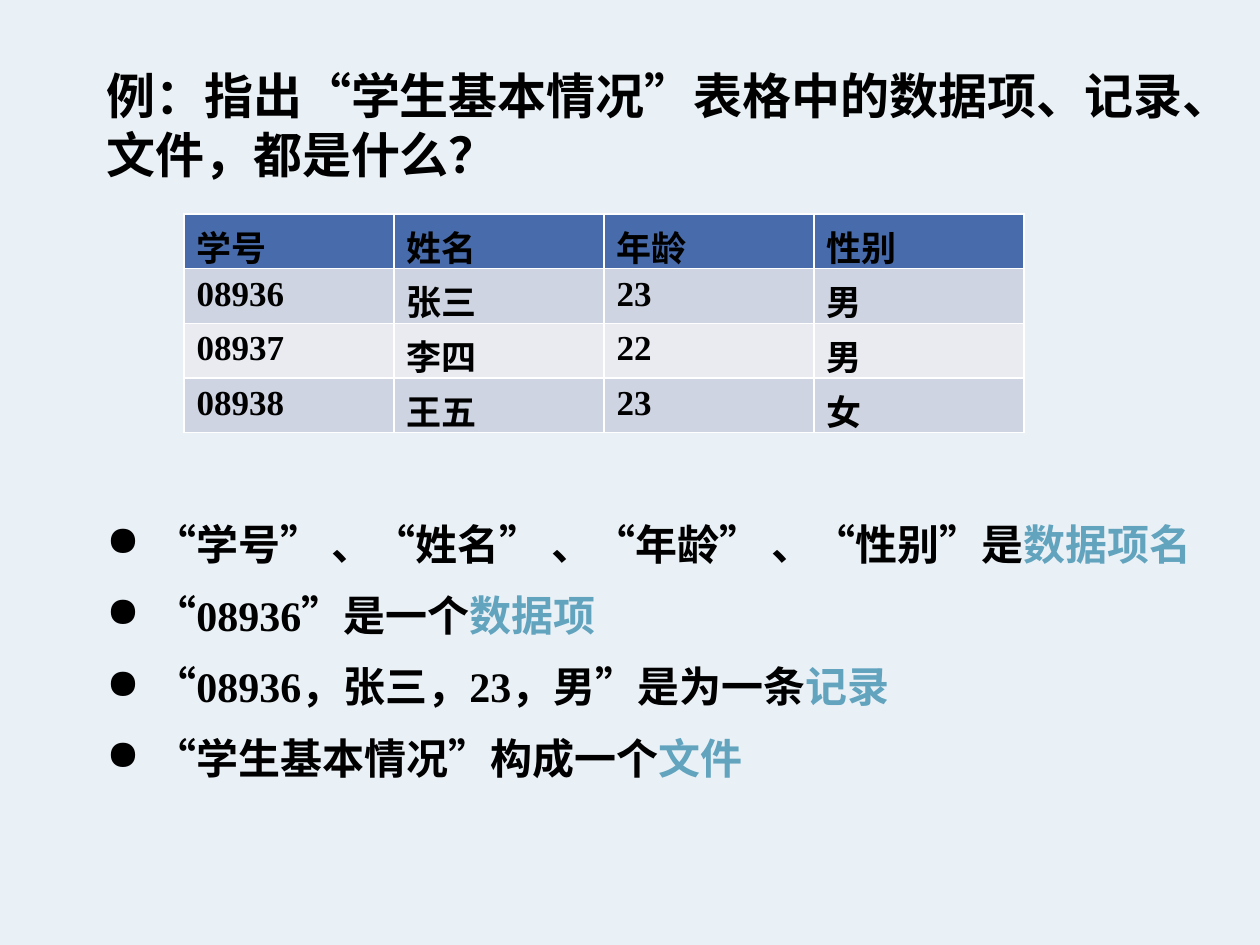
import pptx
import pptx.util
import pptx.dml.color
import pptx.enum.lang
import pptx.oxml.ns
from lxml import etree

RGBColor = pptx.dml.color.RGBColor
BACKGROUND = RGBColor(0xEA, 0xF1, 0xF6)
BLACK = RGBColor(0x00, 0x00, 0x00)
ACCENT = RGBColor(0x62, 0xA3, 0xBE)
HEADER = RGBColor(0x47, 0x6B, 0xAB)
BANDS = [RGBColor(0xCF, 0xD4, 0xE2), RGBColor(0xE9, 0xEB, 0xF1)]
FONT = "Times New Roman"

# Content
TITLE = "例：指出“学生基本情况”表格中的数据项、记录、文件，都是什么？"
STUDENTS = [
    ("学号", "姓名", "年龄", "性别"),
    ("08936", "张三", "23", "男"),
    ("08937", "李四", "22", "男"),
    ("08938", "王五", "23", "女"),
]
ANSWERS = [
    ("“学号” 、“姓名” 、“年龄” 、“性别”是", "数据项名"),
    ("“08936”是一个", "数据项"),
    ("“08936，张三，23，男”是为一条", "记录"),
    ("“学生基本情况”构成一个", "文件"),
]

# Places in px: left, top, width, height
TITLE_BOX = (94, 59, 1127, 220)
TABLE_BOX = (184, 214, 840, 218)
ANSWER_BOX = (94, 512, 1176, 382)
INDENT = 48


def px(length):
    return pptx.util.Emu(round(length * 914400 / 126))


def add_run(para, text, size, color=BLACK):
    span = para.add_run()
    span.text = text
    font = span.font
    font.name, font.size, font.bold = FONT, pptx.util.Pt(size), True
    font.color.rgb = color
    font.language_id = pptx.enum.lang.MSO_LANGUAGE_ID.SIMPLIFIED_CHINESE


def add_text_box(page, place):
    frame = page.shapes.add_textbox(*map(px, place)).text_frame
    frame.word_wrap = True
    return frame


def add_bullet(para):
    properties = para._p.get_or_add_pPr()
    properties.set("marL", str(px(INDENT)))
    properties.set("indent", str(-px(INDENT)))
    bullet = etree.SubElement(properties, pptx.oxml.ns.qn("a:buChar"))
    bullet.set("char", "●")


deck = pptx.Presentation()
deck.slide_width, deck.slide_height = px(1260), px(945)
page = deck.slides.add_slide(deck.slide_layouts[6])
page.background.fill.solid()
page.background.fill.fore_color.rgb = BACKGROUND

# Question
add_run(add_text_box(page, TITLE_BOX).paragraphs[0], TITLE, 28)

# Answers, each ending in a coloured term
frame = add_text_box(page, ANSWER_BOX)
for index, (statement, term) in enumerate(ANSWERS):
    para = frame.add_paragraph() if index else frame.paragraphs[0]
    add_bullet(para)
    if index:
        para.space_before = pptx.util.Pt(12)
    add_run(para, statement, 24)
    add_run(para, term, 24, ACCENT)

# Student table; its default style draws the white borders
table = page.shapes.add_table(len(STUDENTS), len(STUDENTS[0]), *map(px, TABLE_BOX)).table
for row, values in enumerate(STUDENTS):
    for column, value in enumerate(values):
        cell = table.cell(row, column)
        cell.fill.solid()
        cell.fill.fore_color.rgb = BANDS[(row - 1) % 2] if row else HEADER
        add_run(cell.text_frame.paragraphs[0], value, 20)

deck.save("out.pptx")
